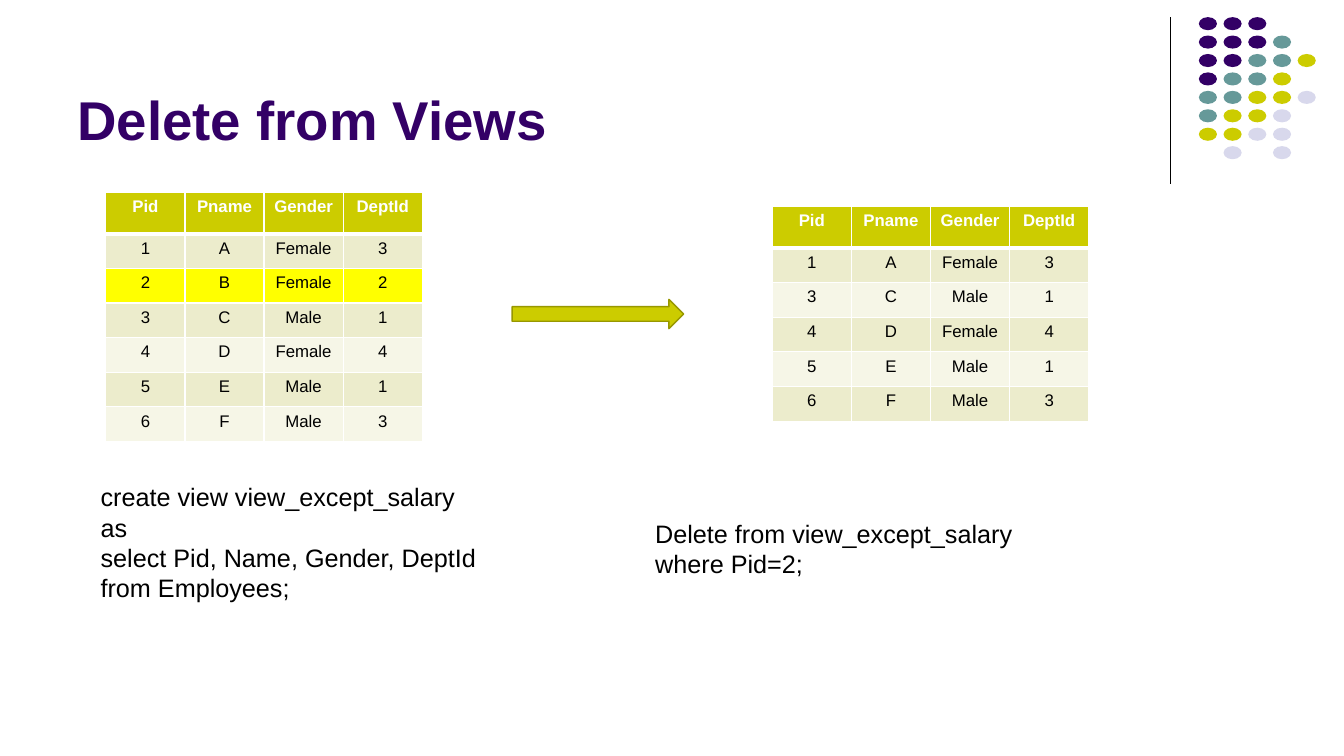
"""Build the "Delete from Views" slide."""
from lxml import etree
from pptx import Presentation
from pptx.dml.color import RGBColor
from pptx.enum.shapes import MSO_CONNECTOR as CONN, MSO_SHAPE as SHAPE
from pptx.enum.text import MSO_ANCHOR as ANCHOR, PP_ALIGN as ALIGN
from pptx.oxml.ns import qn
from pptx.util import Inches, Pt

FONT = "Arial"
COLORS = {
    "purple": "330066", "teal": "669999", "olive": "CCCC00", "lavender": "D8D8EC",
    "olive_edge": "979700", "band_dark": "ECECCC", "band_light": "F6F6E7",
    "highlight": "FFFF00", "black": "000000", "white": "FFFFFF",
}
HEADER = ("Pid", "Pname", "Gender", "DeptId")
PEOPLE = [
    ("1", "A", "Female", "3"),
    ("2", "B", "Female", "2"),
    ("3", "C", "Male", "1"),
    ("4", "D", "Female", "4"),
    ("5", "E", "Male", "1"),
    ("6", "F", "Male", "3"),
]
DELETED_PID = "2"
REMAINING = [row for row in PEOPLE if row[0] != DELETED_PID]
TABLES = [((1.05, 1.91, 3.14, 2.47), PEOPLE), ((7.66, 2.05, 3.14, 2.13), REMAINING)]
HEADER_HEIGHT = 0.41
TITLE = ((0.67, 0.13, 11, 1.42), ["Delete from Views"])
QUERIES = [
    ((0.9, 4.73, 5.27, 1.31), ["create view view_except_salary", "as",
                               "select Pid, Name, Gender, DeptId", "from Employees;"]),
    ((6.4, 5.09, 5.27, 0.71), ["Delete from view_except_salary", "where Pid=2;"]),
]
ARROW = (5.08, 2.97, 1.7, 0.29)
DIVIDER = (11.61, 0.17, 11.61, 1.83)
DOT_ROWS = ["PPP", "PPPT", "PPTTO", "PTTO", "TTOOL", "TOOL", "OOLL", " L L"]
DOT_COLORS = {"P": "purple", "T": "teal", "O": "olive", "L": "lavender"}
DOT_LEFT, DOT_TOP, DOT_RIGHT, DOT_BOTTOM = 11.89, 0.17, 12.87, 1.45
DOT_SIZE = (0.18, 0.13)


def rgb(name):
    return RGBColor.from_string(COLORS[name])


def inches(values):
    return [Inches(v) for v in values]


def style(p, size, color, bold=False):
    p.font.name, p.font.size, p.font.bold = FONT, Pt(size), bold
    p.font.color.rgb = rgb(color)


def add_text(s, box, lines, size, color, bold=False, anchor=ANCHOR.TOP):
    tf = s.shapes.add_textbox(*inches(box)).text_frame
    tf.word_wrap, tf.vertical_anchor = True, anchor
    tf.text = "\n".join(lines)
    for p in tf.paragraphs:
        style(p, size, color, bold)


def add_shape(s, kind, box, fill, line=None):
    sp = s.shapes.add_shape(kind, *inches(box))
    sp.shadow.inherit = False
    sp.fill.solid()
    sp.fill.fore_color.rgb = rgb(fill)
    if line:
        sp.line.color.rgb, sp.line.width = rgb(line), Pt(1)
    else:
        sp.line.fill.background()


def add_borders(cell, top, bottom):
    tc_pr = cell._tc.get_or_add_tcPr()
    widths = {"lnL": 1, "lnR": 1, "lnT": top, "lnB": bottom}
    for i, (tag, width) in enumerate(widths.items()):
        ln = etree.Element(qn(f"a:{tag}"), w=str(Pt(width)))
        fill = etree.SubElement(ln, qn("a:solidFill"))
        etree.SubElement(fill, qn("a:srgbClr"), val=COLORS["white"])
        tc_pr.insert(i, ln)


def row_fill(i, row):
    if i == 0:
        return "olive"
    if row[0] == DELETED_PID:
        return "highlight"
    return "band_dark" if i % 2 else "band_light"


def add_people_table(s, box, people):
    rows = [HEADER, *people]
    table = s.shapes.add_table(len(rows), len(HEADER), *inches(box)).table
    for col in table.columns:
        col.width = Inches(box[2] / len(HEADER))
    for i, row in enumerate(rows):
        height = (box[3] - HEADER_HEIGHT) / len(people) if i else HEADER_HEIGHT
        table.rows[i].height = Inches(height)
        for j, text in enumerate(row):
            cell = table.cell(i, j)
            cell.text = text
            cell.margin_left = cell.margin_right = Inches(0.05)
            cell.fill.solid()
            cell.fill.fore_color.rgb = rgb(row_fill(i, row))
            add_borders(cell, top=3 if i == 1 else 1, bottom=1 if i else 3)
            p = cell.text_frame.paragraphs[0]
            p.alignment = ALIGN.CENTER
            style(p, 12, "black" if i else "white", bold=i == 0)


def add_dots(s):
    dx = (DOT_RIGHT - DOT_LEFT) / (max(map(len, DOT_ROWS)) - 1)
    dy = (DOT_BOTTOM - DOT_TOP) / (len(DOT_ROWS) - 1)
    for i, row in enumerate(DOT_ROWS):
        for j, key in enumerate(row):
            if key in DOT_COLORS:
                box = (DOT_LEFT + j * dx, DOT_TOP + i * dy, *DOT_SIZE)
                add_shape(s, SHAPE.OVAL, box, DOT_COLORS[key])


def main():
    prs = Presentation()
    prs.slide_width, prs.slide_height = inches((13.33, 7.5))
    s = prs.slides.add_slide(prs.slide_layouts[6])
    divider = s.shapes.add_connector(CONN.STRAIGHT, *inches(DIVIDER))
    divider.line.color.rgb, divider.line.width = rgb("black"), Pt(0.75)
    etree.SubElement(divider._element.spPr, qn("a:effectLst"))
    add_dots(s)
    add_text(s, *TITLE, 39, "purple", bold=True, anchor=ANCHOR.BOTTOM)
    add_shape(s, SHAPE.RIGHT_ARROW, ARROW, "olive", "olive_edge")
    for box, people in TABLES:
        add_people_table(s, box, people)
    for box, lines in QUERIES:
        add_text(s, box, lines, 18, "black")
    prs.save("out.pptx")


if __name__ == "__main__":
    main()
